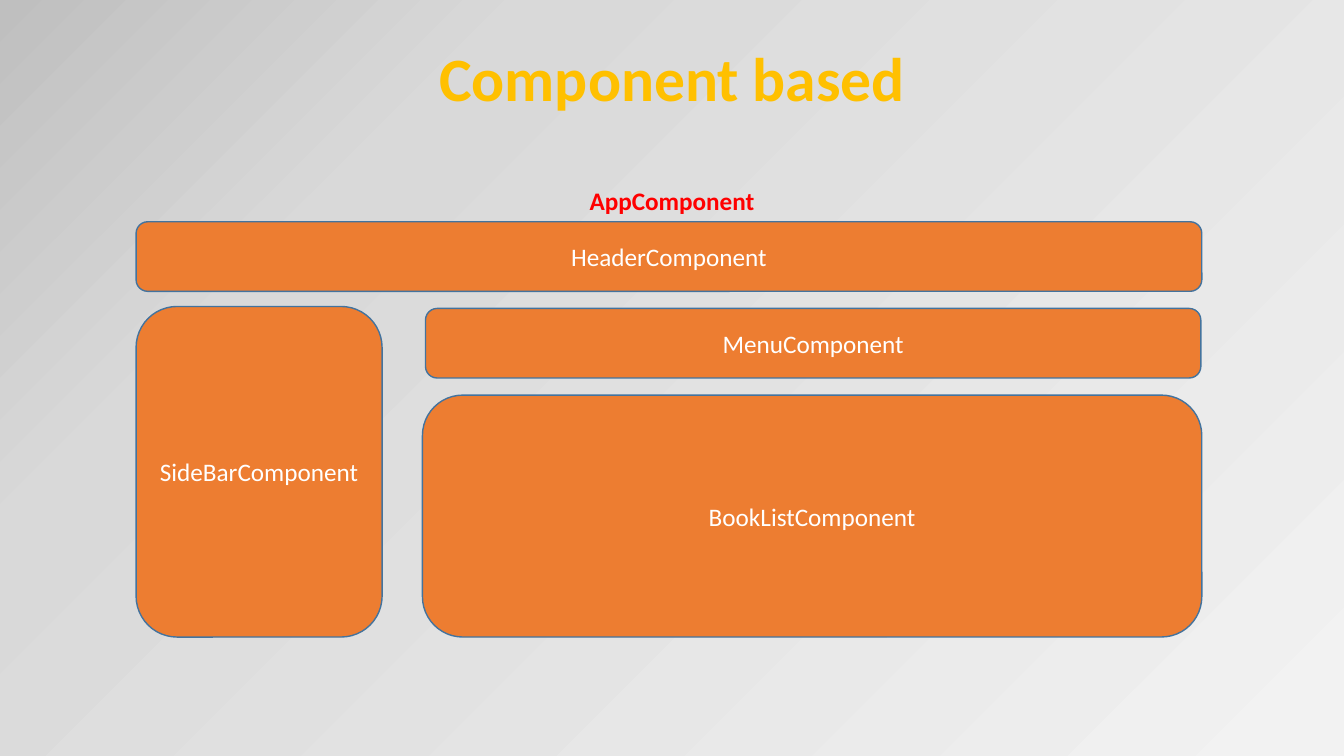
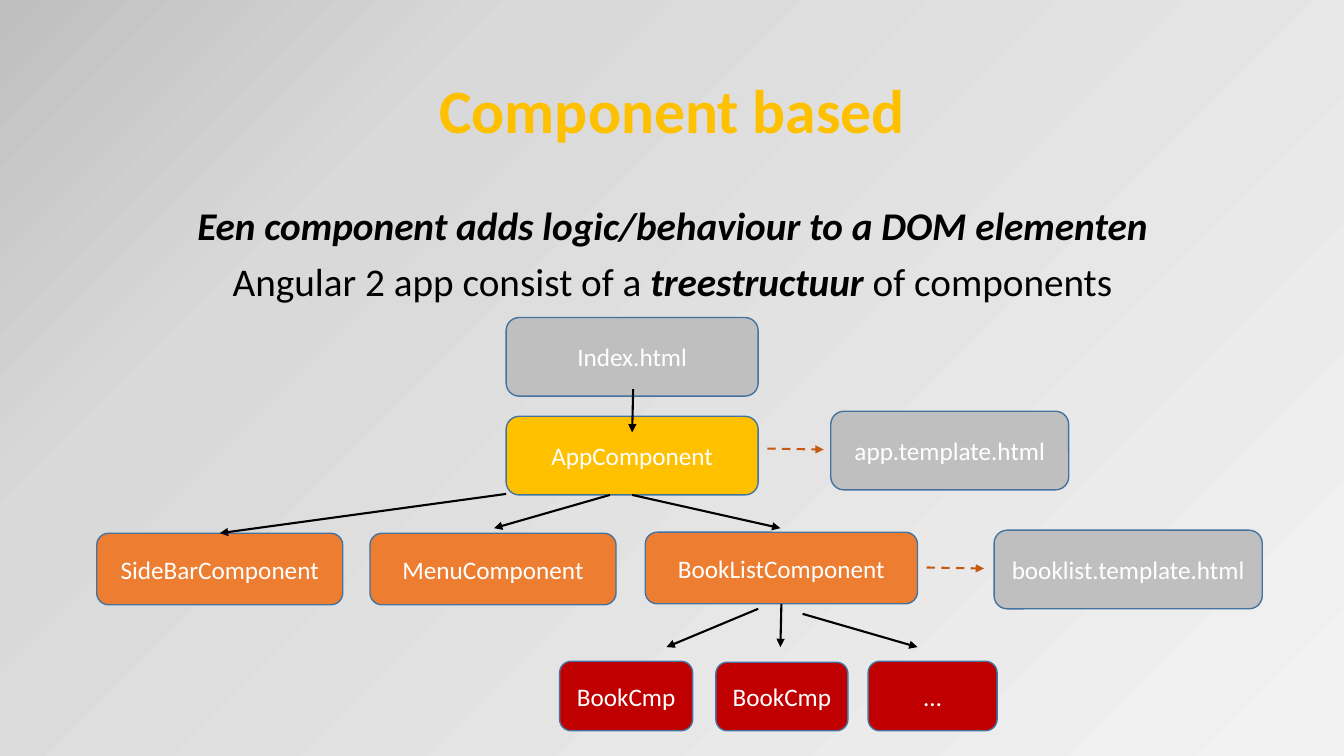
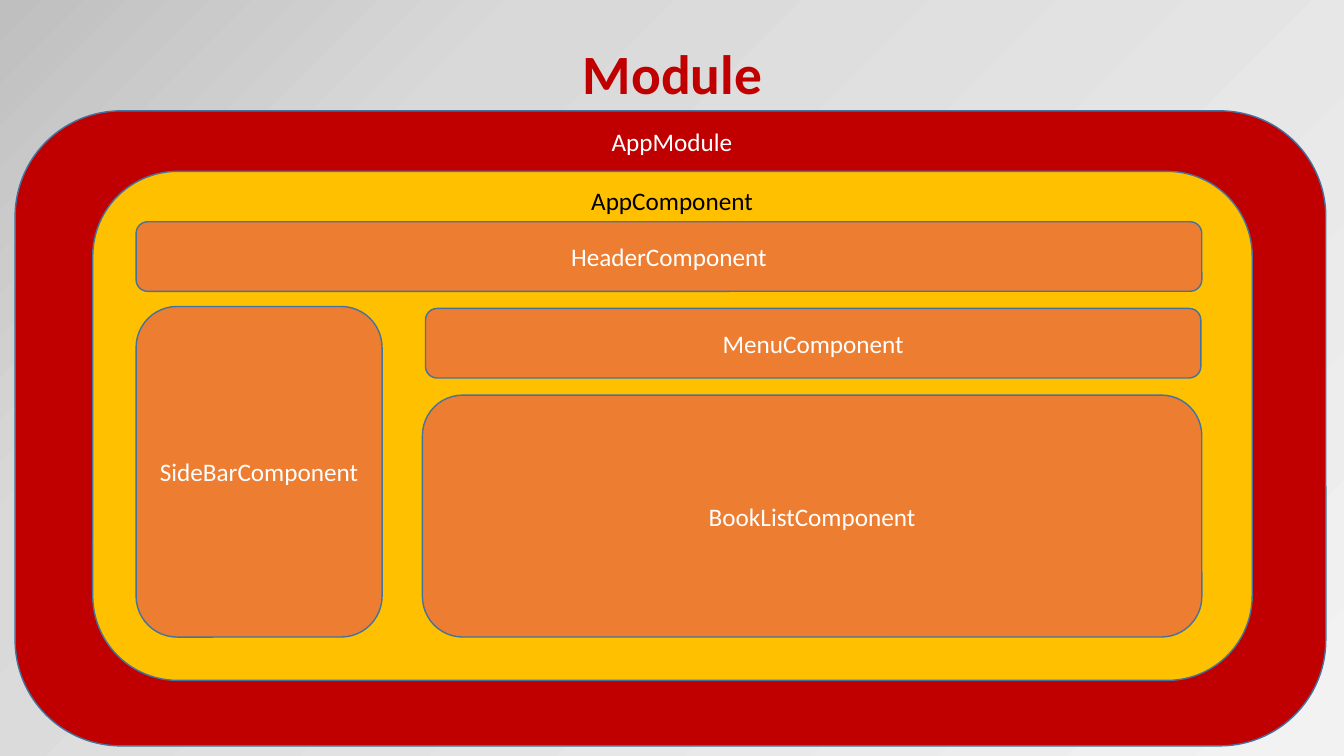
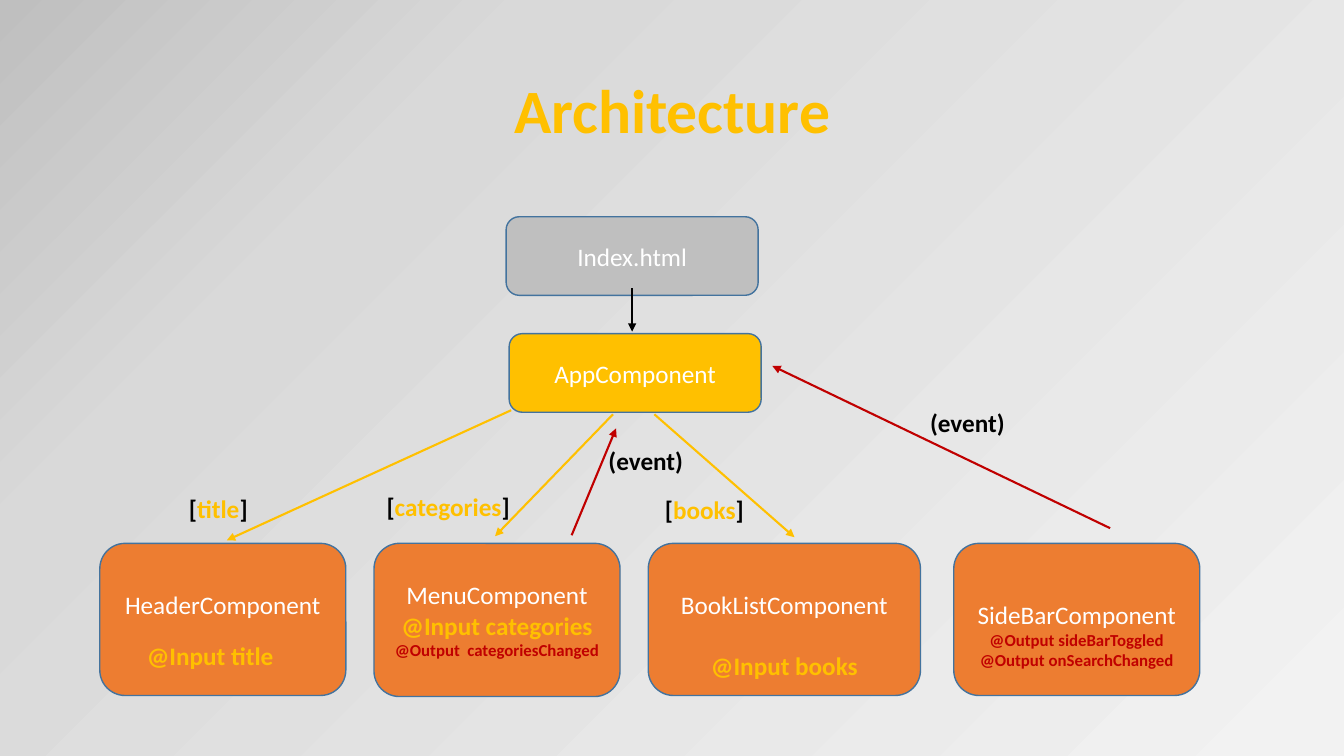
from dataclasses import dataclass

from pptx import Presentation
from pptx.dml.color import RGBColor
from pptx.enum.dml import MSO_LINE
from pptx.enum.shapes import MSO_CONNECTOR, MSO_SHAPE
from pptx.enum.text import MSO_ANCHOR, MSO_AUTO_SIZE, PP_ALIGN
from pptx.oxml import parse_xml
from pptx.oxml.ns import nsdecls, qn
from pptx.util import Inches, Pt


# Theme
class Theme:
    font = "Calibri"
    title, title_small, body, label, note = 44, 39.6, 28, 18, 12
    gold, orange, red, gray = "FFC000", "ED7D31", "C00000", "BFBFBF"
    white, black, alert = "FFFFFF", "000000", "FF0000"
    outline, dashed = "43739E", "C55A11"
    backdrop = [(1, "F2F2F2"), (74, "D9D9D9"), (100, "BFBFBF"), (100, "A6A6A6")]
    inset_x, inset_y = 0.1, 0.05
    box_line, arrow_line = 1, 1.5


@dataclass
class Run:
    text: str
    color: str = Theme.white
    size: float = Theme.label
    bold: bool = False
    italic: bool = False


@dataclass
class Box:
    at: tuple            # left, top, width, height
    fill: str
    paragraphs: list
    push: float = 0      # extra inset: above the text, or below it if negative
    gap: float = 0       # points before the last paragraph


@dataclass
class Arrow:
    start: tuple
    end: tuple
    color: str = Theme.black
    dashed: bool = False
    begin_at: tuple = ()  # box key and side to join
    end_at: tuple = ()


TOP, BOTTOM = 0, 2
BLANK_LAYOUT = 6
LINE = 0.3               # height of one label line
LINE_POINTS = 22


def named(name):
    return [[Run(name)]]


def strong(text, color=Theme.black, size=Theme.label):
    return Run(text, color, size, bold=True)


def binding(name):
    return [[strong("["), strong(name, Theme.gold), strong("]")]]


def output(name):
    return [strong(name, Theme.red, Theme.note)]


# Page layout of the application, used on two slides
PAGE_BOXES = {
    name: Box(at, Theme.orange, named(name))
    for name, at in [
        ("SideBarComponent", (1.35, 3.04, 2.44, 3.28)),
        ("HeaderComponent", (1.35, 2.2, 10.57, 0.69)),
        ("BookListComponent", (4.19, 3.92, 7.73, 2.4)),
        ("MenuComponent", (4.22, 3.06, 7.69, 0.69)),
    ]
}
APP_LABEL_AT = (5.74, 1.79, 1.85, 0.4)

# Nested frames of the module
MODULE_FRAMES = {
    "module": Box((0.15, 1.1, 13, 6.3), Theme.red, []),
    "app": Box((0.92, 1.7, 11.5, 5.05), Theme.gold, []),
}

# Component tree
TREE_INTRO = [
    [Run("Een component adds logic/behaviour to a DOM elementen",
         Theme.black, Theme.body, True, True)],
    [Run("Angular 2 app consist of a ", Theme.black, Theme.body),
     Run("treestructuur", Theme.black, Theme.body, True, True),
     Run(" of components", Theme.black, Theme.body)],
]
TREE_BOXES = {
    "app": Box((5.02, 4.13, 2.5, 0.78), Theme.gold, named("AppComponent")),
    "list": Box((6.4, 5.28, 2.7, 0.71), Theme.orange, named("BookListComponent")),
    "book 1": Box((5.55, 6.56, 1.32, 0.69), Theme.red, named("BookCmp")),
    "book 2": Box((7.1, 6.57, 1.31, 0.68), Theme.red, named("BookCmp")),
    "more": Box((8.61, 6.56, 1.28, 0.69), Theme.red, named("…")),
    "menu": Box((3.67, 5.29, 2.44, 0.71), Theme.orange, named("MenuComponent")),
    "index": Box((5.02, 3.15, 2.5, 0.78), Theme.gray, named("Index.html")),
    "app html": Box((8.24, 4.08, 2.36, 0.78), Theme.gray, named("app.template.html")),
    "list html": Box((9.86, 5.26, 2.66, 0.78), Theme.gray,
                     named("booklist.template.html")),
    "sidebar": Box((0.96, 5.29, 2.44, 0.71), Theme.orange, named("SideBarComponent")),
}
TREE_ARROWS = [
    Arrow((6.27, 4.9), (7.74, 5.24), begin_at=("app", BOTTOM)),
    Arrow((6.05, 4.91), (4.9, 5.24)),
    Arrow((7.52, 6.04), (6.61, 6.42)),
    Arrow((7.96, 6.09), (9.1, 6.42)),
    Arrow((7.75, 5.99), (7.74, 6.42), begin_at=("list", BOTTOM)),
    Arrow((6.28, 3.86), (6.27, 4.29)),
    Arrow((7.61, 4.45), (8.17, 4.46), Theme.dashed, True),
    Arrow((9.19, 5.63), (9.76, 5.64), Theme.dashed, True),
    Arrow((5.02, 4.9), (2.19, 5.29), end_at=("sidebar", TOP)),
]

# Data flow between components
FLOW_BOXES = {
    "app": Box((5.05, 3.31, 2.5, 0.78), Theme.gold, named("AppComponent")),
    "list": Box((6.43, 5.39, 2.7, 1.51), Theme.orange,
                named("BookListComponent") + [[strong("@Input books", Theme.gold)]],
                push=LINE, gap=LINE_POINTS),
    "menu": Box((3.71, 5.39, 2.44, 1.52), Theme.orange,
                named("MenuComponent")
                + [[strong("@Input categories", Theme.gold)],
                   output("@Output  categoriesChanged")]),
    "index": Box((5.02, 2.15, 2.5, 0.78), Theme.gray, named("Index.html")),
    "header": Box((0.99, 5.39, 2.44, 1.51), Theme.orange,
                  named("HeaderComponent"), push=-LINE),
    "sidebar": Box((9.46, 5.39, 2.44, 1.51), Theme.orange,
                   named("SideBarComponent")
                   + [output("@Output sideBarToggled"),
                      output("@Output onSearchChanged")], push=LINE),
}
FLOW_ARROWS = [
    Arrow((6.49, 4.11), (7.88, 5.33), Theme.gold),
    Arrow((6.08, 4.11), (4.91, 5.32), Theme.gold),
    Arrow((5.07, 4.07), (2.25, 5.36), Theme.gold),
    Arrow((6.27, 2.86), (6.27, 3.29)),
    Arrow((11.01, 5.24), (7.66, 3.63), Theme.red),
    Arrow((5.67, 5.31), (6.11, 4.25), Theme.red),
]
FLOW_LABELS = [
    ((1.77, 4.84, 0.79, 0.4), binding("title")),
    ((3.73, 4.83, 1.43, 0.4), binding("categories")),
    ((6.49, 4.86, 0.99, 0.4), binding("books")),
    ((9.12, 3.99, 0.95, 0.4), [[strong("(event)")]]),
    ((5.93, 4.37, 0.95, 0.4), [[strong("(event)")]]),
    ((1.35, 6.3, 1.47, 0.4), [[strong("@Input title", Theme.gold)]]),
]

# Slides: title run, title height, then the parts
SLIDES = [
    dict(title=strong("Component based", Theme.gold, Theme.title), height=0.82,
         boxes=PAGE_BOXES,
         labels=[(APP_LABEL_AT, [[strong("AppComponent", Theme.alert)]])]),
    dict(title=strong("Component based", Theme.gold, Theme.title), height=1.45,
         intro=TREE_INTRO, boxes=TREE_BOXES, arrows=TREE_ARROWS),
    dict(title=strong("Module", Theme.red, Theme.title_small), height=0.71,
         boxes=MODULE_FRAMES | PAGE_BOXES,
         labels=[(APP_LABEL_AT, [[Run("AppComponent", Theme.black)]]),
                 ((5.96, 1.2, 1.41, 0.4), named("AppModule"))]),
    dict(title=strong("Architecture", Theme.gold, Theme.title), height=1.45,
         boxes=FLOW_BOXES, arrows=FLOW_ARROWS, labels=FLOW_LABELS),
]


# Drawing
def rgb(color):
    return RGBColor.from_string(color)


def inches(lengths):
    return [Inches(length) for length in lengths]


def write(frame, paragraphs, anchor=MSO_ANCHOR.TOP, wrap=True, spacing=None,
          before=0, gap=0):
    frame.word_wrap = wrap
    frame.vertical_anchor = anchor
    frame.margin_left = frame.margin_right = Inches(Theme.inset_x)
    frame.margin_top = frame.margin_bottom = Inches(Theme.inset_y)
    for number, runs in enumerate(paragraphs):
        paragraph = frame.add_paragraph() if number else frame.paragraphs[0]
        paragraph.alignment = PP_ALIGN.CENTER
        paragraph.space_before = Pt(before)
        if spacing:
            paragraph.line_spacing = spacing
        for item in runs:
            run = paragraph.add_run()
            run.text = item.text
            run.font.name = Theme.font
            run.font.size = Pt(item.size)
            run.font.bold = item.bold
            run.font.italic = item.italic
            run.font.color.rgb = rgb(item.color)
    if gap:
        frame.paragraphs[-1].space_before = Pt(gap)


def add_text(slide, at, paragraphs, **layout):
    frame = slide.shapes.add_textbox(*inches(at)).text_frame
    write(frame, paragraphs, **layout)
    return frame


def add_box(slide, box):
    shape = slide.shapes.add_shape(MSO_SHAPE.ROUNDED_RECTANGLE, *inches(box.at))
    shape.shadow.inherit = False
    shape.fill.solid()
    shape.fill.fore_color.rgb = rgb(box.fill)
    shape.line.color.rgb = rgb(Theme.outline)
    shape.line.width = Pt(Theme.box_line)
    frame = shape.text_frame
    write(frame, box.paragraphs, MSO_ANCHOR.MIDDLE, gap=box.gap)
    frame.margin_top = Inches(Theme.inset_y + max(box.push, 0))
    frame.margin_bottom = Inches(Theme.inset_y + max(-box.push, 0))
    return shape


def add_arrow(slide, arrow, shapes):
    line = slide.shapes.add_connector(
        MSO_CONNECTOR.STRAIGHT, *inches(arrow.start + arrow.end))
    if arrow.begin_at:
        key, side = arrow.begin_at
        line.begin_connect(shapes[key], side)
    if arrow.end_at:
        key, side = arrow.end_at
        line.end_connect(shapes[key], side)
    line.line.color.rgb = rgb(arrow.color)
    line.line.width = Pt(Theme.arrow_line)
    if arrow.dashed:
        line.line.dash_style = MSO_LINE.DASH
    properties = line.element.spPr
    properties.find(qn("a:ln")).append(
        parse_xml(f'<a:tailEnd {nsdecls("a")} type="triangle"/>'))
    properties.append(parse_xml(f'<a:effectLst {nsdecls("a")}/>'))


def paint_backdrop(master):
    master.background.fill.gradient()
    plain = master.element.find(".//" + qn("a:gradFill"))
    stops = "".join(
        f'<a:gs pos="{percent * 1000}"><a:srgbClr val="{color}"/></a:gs>'
        for percent, color in Theme.backdrop)
    radial = parse_xml(
        f'<a:gradFill {nsdecls("a")} rotWithShape="1"><a:gsLst>{stops}</a:gsLst>'
        '<a:path path="circle"><a:fillToRect l="100000" t="100000"/></a:path>'
        '</a:gradFill>')
    plain.getparent().replace(plain, radial)


def add_slide(prs, content):
    slide = prs.slides.add_slide(prs.slide_layouts[BLANK_LAYOUT])
    if "intro" in content:
        add_text(slide, (0.92, 2, 11.5, 4.76), content["intro"],
                 spacing=0.9, before=10)
    shapes = {key: add_box(slide, box) for key, box in content["boxes"].items()}
    add_text(slide, (0.92, 0.4, 11.5, content["height"]), [[content["title"]]],
             anchor=MSO_ANCHOR.MIDDLE, spacing=0.9)
    for arrow in content.get("arrows", []):
        add_arrow(slide, arrow, shapes)
    for at, paragraphs in content.get("labels", []):
        label = add_text(slide, at, paragraphs, wrap=False)
        label.auto_size = MSO_AUTO_SIZE.SHAPE_TO_FIT_TEXT


def main():
    prs = Presentation()
    prs.slide_width, prs.slide_height = inches((13.33, 7.5))
    paint_backdrop(prs.slide_master)
    for content in SLIDES:
        add_slide(prs, content)
    prs.save("out.pptx")


if __name__ == "__main__":
    main()
